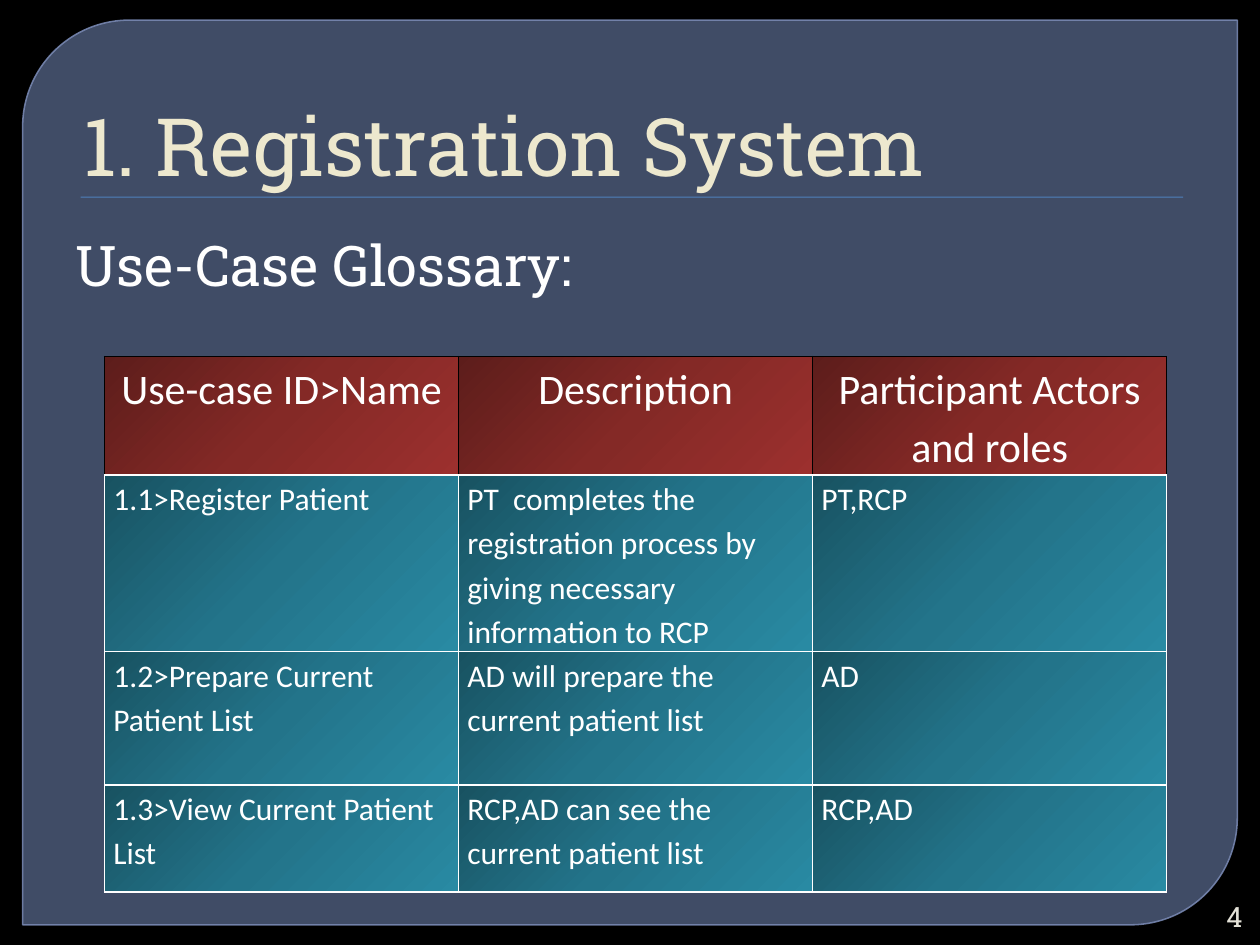
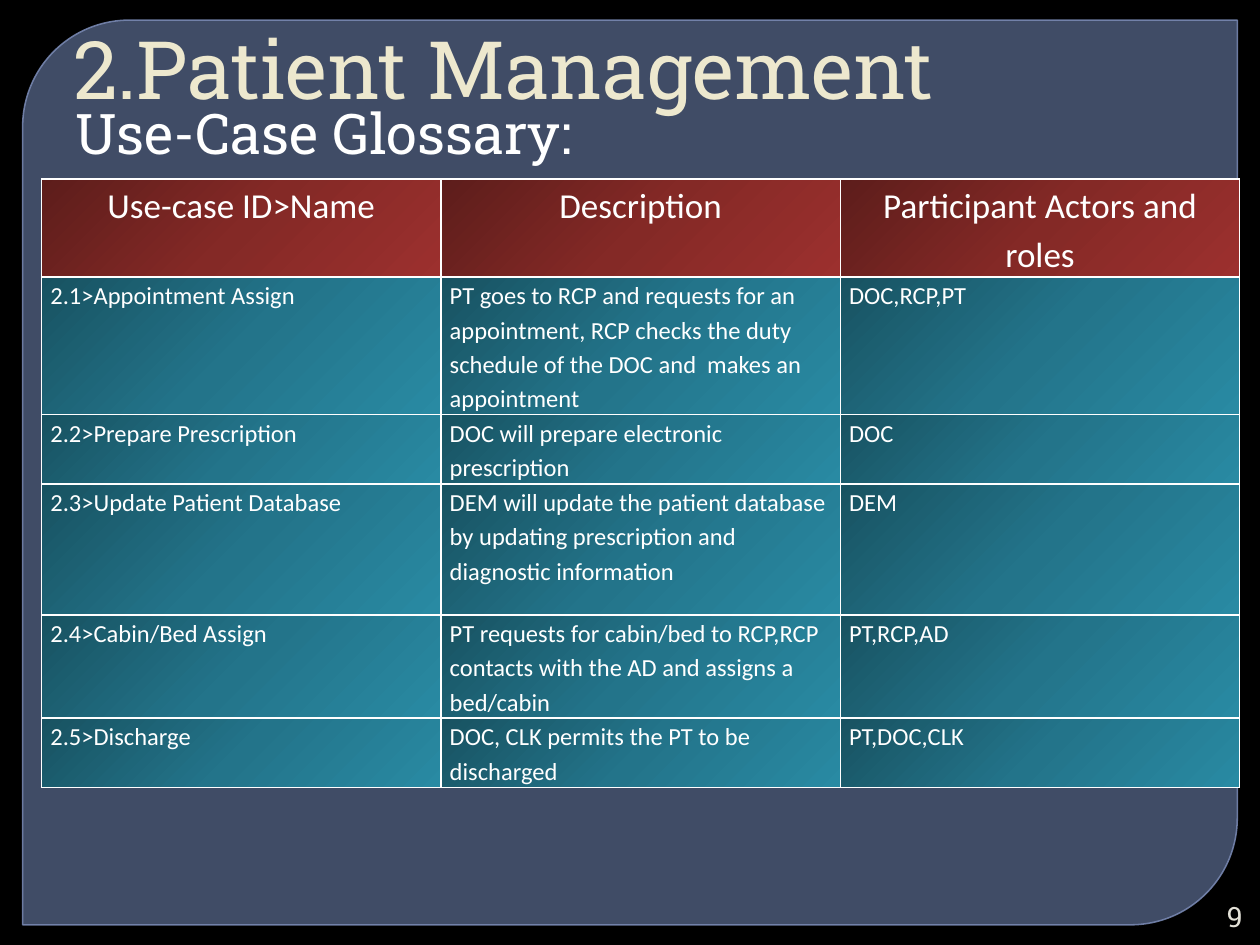
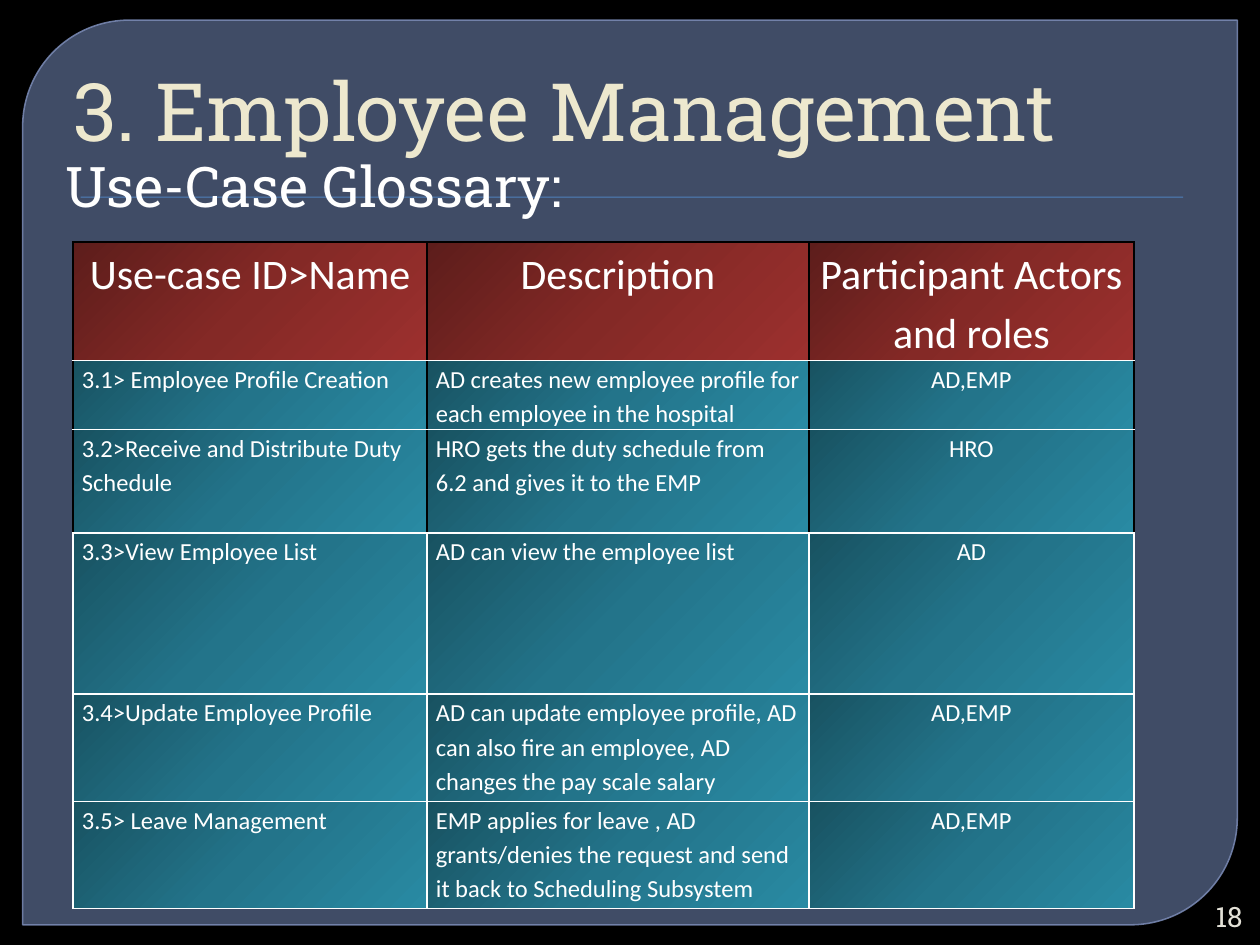
"""Build three use-case glossary slides with a shared frame, title style and table style."""
from lxml.etree import SubElement
from pptx import Presentation
from pptx.dml.color import RGBColor
from pptx.enum.shapes import MSO_SHAPE as Preset
from pptx.enum.text import MSO_ANCHOR as Anchor, PP_ALIGN as Align
from pptx.oxml.ns import qn
from pptx.util import Inches, Pt

HEADINGS = ("Use-case ID>Name", "Description", "Participant Actors and roles")
SUBTITLE = "Use-Case Glossary:"
GLOSSARIES = [
    {
        "title": "1. Registration System", "number": "4",
        "title_box": (0.5, 0.28, 9, 1.25), "subtitle_box": (0.5, 1.8, 9, 4.95),
        "origin": (0.83, 2.83), "columns": (2.81, 2.81, 2.81),
        "rows": (0.94, 1.4, 1.06, 0.85), "sizes": (24, 18),
        "dark_rows": 1, "roles_align": Align.LEFT,
        "cases": [
            ("1.1>Register Patient",
             "PT  completes the registration process by giving necessary information to RCP", "PT,RCP"),
            ("1.2>Prepare Current Patient List", "AD will prepare the current patient list", "AD"),
            ("1.3>View Current Patient List", "RCP,AD can see the current patient list", "RCP,AD"),
        ],
    },
    {
        "title": "2.Patient Management", "number": "9",
        "title_box": (0.42, -0.01, 9, 0.93), "subtitle_box": (0.5, 0.75, 9, 6),
        "origin": (0.33, 1.42), "columns": (3.17, 3.17, 3.17),
        "rows": (0.78, 1.09, 0.55, 1.04, 0.82, 0.55), "sizes": (20, 14),
        "dark_rows": 0, "roles_align": Align.LEFT,
        "cases": [
            ("2.1>Appointment Assign",
             "PT goes to RCP and requests for an appointment, RCP checks the duty schedule "
             "of the DOC and  makes an appointment", "DOC,RCP,PT"),
            ("2.2>Prepare Prescription", "DOC will prepare electronic prescription", "DOC"),
            ("2.3>Update Patient Database",
             "DEM will update the patient database by updating prescription and diagnostic information", "DEM"),
            ("2.4>Cabin/Bed Assign",
             "PT requests for cabin/bed to RCP,RCP contacts with the AD and assigns a bed/cabin", "PT,RCP,AD"),
            ("2.5>Discharge", "DOC, CLK permits the PT to be discharged", "PT,DOC,CLK"),
        ],
    },
    {
        "title": "3. Employee Management", "number": "18",
        "title_box": (0.42, 0, 9, 1.25), "subtitle_box": (0.42, 1.17, 9, 6.17),
        "origin": (0.58, 1.92), "columns": (2.81, 3.03, 2.58),
        "rows": (0.94, 0.55, 0.82, 1.28, 0.85, 0.85), "sizes": (24, 14),
        "dark_rows": 3, "roles_align": Align.CENTER,
        "cases": [
            ("3.1> Employee Profile Creation",
             "AD creates new employee profile for each employee in the hospital", "AD,EMP"),
            ("3.2>Receive and Distribute Duty Schedule",
             "HRO gets the duty schedule from 6.2 and gives it to the EMP", "HRO"),
            ("3.3>View Employee List", "AD can view the employee list", "AD"),
            ("3.4>Update Employee Profile",
             "AD can update employee profile, AD can also fire an employee, AD changes the pay scale salary",
             "AD,EMP"),
            ("3.5> Leave Management",
             "EMP applies for leave , AD grants/denies the request and send it back to Scheduling Subsystem",
             "AD,EMP"),
        ],
    },
]

BLACK, WHITE = "000000", "FFFFFF"
PANEL, PANEL_EDGE, RULE = "63759D", "7989B3", "4F81BD"
HEADING_GRADIENT = ("5D1D1B", "842926", "9C302E")
CASE_GRADIENT = ("185261", "23748A", "298AA3")
SERIF, SANS = "Roboto Slab", "Calibri"
PANEL_BOX = (0.18, 0.16, 9.64, 7.18)
RULE_BOX = (0.64, 1.56, 8.75, 0.01)
NUMBER_BOX = (9.45, 7.12, 0.51, 0.3)
TITLE_STYLE = {"font": SERIF, "size": 46, "color": "EDE8CE"}
SUBTITLE_STYLE = {"font": SERIF, "size": 32, "color": WHITE}
NUMBER_STYLE = {"font": SERIF, "size": 16, "color": "E3E1D7", "align": Align.RIGHT}
TITLE_FRAME = {"vertical_anchor": Anchor.BOTTOM, "margin_left": Inches(0.16), "margin_bottom": 0}
SUBTITLE_FRAME = {"vertical_anchor": Anchor.TOP, "margin_top": Inches(0.03)}
NUMBER_FRAME = {"vertical_anchor": Anchor.MIDDLE}
CELL_FRAME = {"margin_left": Inches(0.07), "margin_right": Inches(0.07), "margin_top": 0, "margin_bottom": 0}
TABLE_FLAGS = {"first_row": False, "horz_banding": False}


def rgb(value):
    return RGBColor.from_string(value)


def inches(box):
    return [Inches(length) for length in box]


def assign(target, values):
    for name, value in values.items():
        setattr(target, name, value)


def write(frame, words, font, size, color, align=Align.LEFT, spacing=1.0):
    paragraph = frame.paragraphs[0]
    assign(paragraph, {"alignment": align, "line_spacing": spacing})
    run = paragraph.add_run()
    run.text = words
    assign(run.font, {"name": font, "size": Pt(size), "bold": False})
    run.font.color.rgb = rgb(color)


def add_label(slide, box, words, style, layout):
    frame = slide.shapes.add_textbox(*inches(box)).text_frame
    assign(frame, {"word_wrap": True, **layout})
    write(frame, words, **style)


def add_block(slide, preset, box, color):
    block = slide.shapes.add_shape(preset, *inches(box))
    block.shadow.inherit = False
    block.fill.solid()
    block.fill.fore_color.rgb = rgb(color)
    block.line.fill.background()
    return block


def add_panel(slide):
    panel = add_block(slide, Preset.ROUND_2_DIAG_RECTANGLE, PANEL_BOX, PANEL)
    panel.adjustments[0], panel.adjustments[1] = 0.118, 0
    panel.line.color.rgb = rgb(PANEL_EDGE)
    panel.line.width = Pt(0.87)
    for color, percent in zip(panel._element.spPr.iter(qn("a:srgbClr")), (65, 88)):
        SubElement(color, qn("a:alpha"), val=str(percent * 1000))


def paint_cell(cell, gradient, edges):
    properties = cell._tc.get_or_add_tcPr()
    for side, color in edges.items():
        edge = SubElement(properties, qn(f"a:ln{side}"), w=str(Pt(1)))
        SubElement(SubElement(edge, qn("a:solidFill")), qn("a:srgbClr"), val=color)
    fill = SubElement(properties, qn("a:gradFill"), rotWithShape="1")
    stops = SubElement(fill, qn("a:gsLst"))
    for position, color in zip((0, 50, 100), gradient):
        stop = SubElement(stops, qn("a:gs"), pos=str(position * 1000))
        SubElement(stop, qn("a:srgbClr"), val=color)
    SubElement(fill, qn("a:lin"), ang=str(45 * 60000), scaled="0")


def add_glossary(slide, glossary):
    columns, rows = glossary["columns"], glossary["rows"]
    box = (*glossary["origin"], sum(columns), sum(rows))
    table = slide.shapes.add_table(len(rows), len(columns), *inches(box)).table
    assign(table, TABLE_FLAGS)
    for column, width in zip(table.columns, columns):
        column.width = Inches(width)
    for row, height in zip(table.rows, rows):
        row.height = Inches(height)
    heading_size, case_size = glossary["sizes"]
    for r, entries in enumerate([HEADINGS, *glossary["cases"]]):
        heading = r == 0
        side = BLACK if r < glossary["dark_rows"] else WHITE
        edges = {"L": side, "R": side, "T": side if heading else WHITE, "B": WHITE}
        for c, words in enumerate(entries):
            cell = table.cell(r, c)
            assign(cell, CELL_FRAME)
            align = Align.CENTER if heading else glossary["roles_align"] if c == 2 else Align.LEFT
            write(cell.text_frame, words, SANS, heading_size if heading else case_size, WHITE, align, 1.15)
            paint_cell(cell, HEADING_GRADIENT if heading else CASE_GRADIENT, edges)


def add_glossary_slide(deck, glossary):
    slide = deck.slides.add_slide(deck.slide_layouts[6])
    slide.background.fill.solid()
    slide.background.fill.fore_color.rgb = rgb(BLACK)
    add_panel(slide)
    if glossary["origin"][1] > RULE_BOX[1]:
        add_block(slide, Preset.RECTANGLE, RULE_BOX, RULE)
    add_label(slide, glossary["title_box"], glossary["title"], TITLE_STYLE, TITLE_FRAME)
    add_label(slide, glossary["subtitle_box"], SUBTITLE, SUBTITLE_STYLE, SUBTITLE_FRAME)
    add_glossary(slide, glossary)
    add_label(slide, NUMBER_BOX, glossary["number"], NUMBER_STYLE, NUMBER_FRAME)


deck = Presentation()
assign(deck, {"slide_width": Inches(10), "slide_height": Inches(7.5)})
for glossary in GLOSSARIES:
    add_glossary_slide(deck, glossary)
deck.save("out.pptx")
